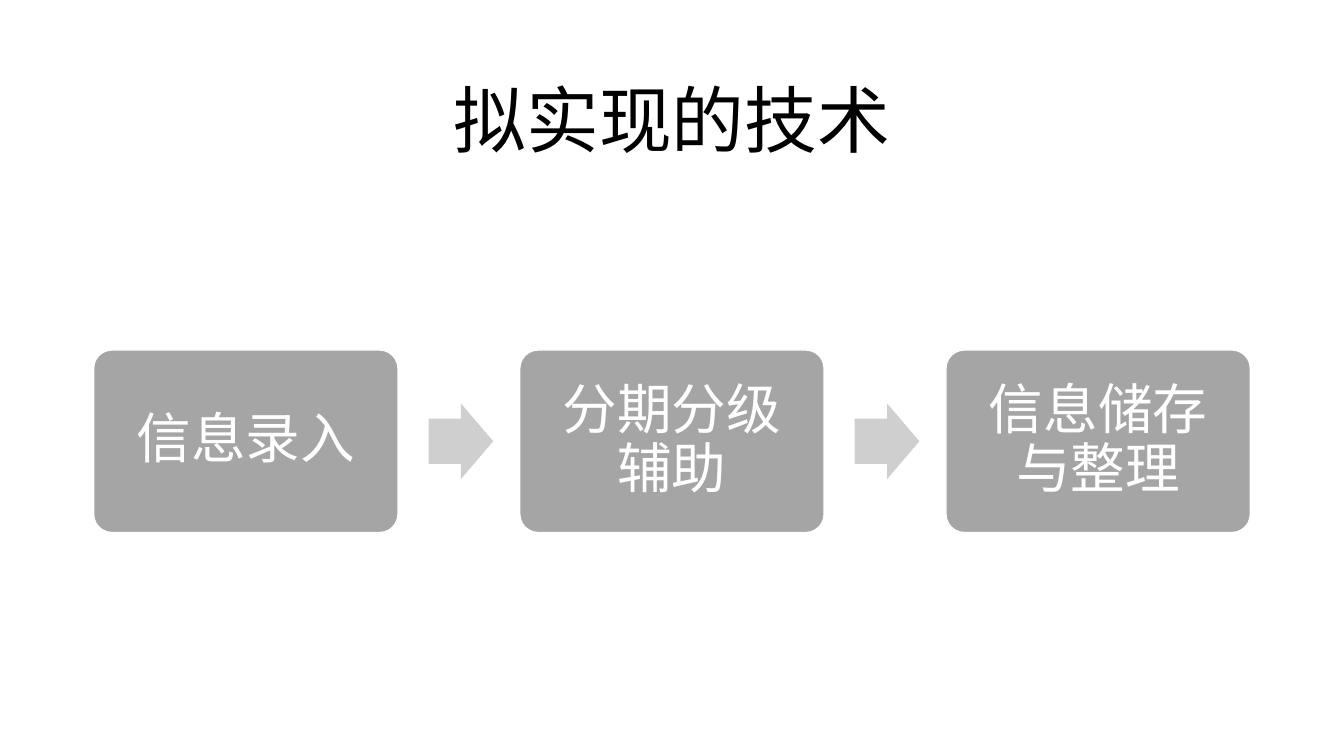
from lxml.etree import SubElement
from pptx import Presentation
from pptx.dml.color import RGBColor
from pptx.enum.shapes import MSO_SHAPE as Shape
from pptx.enum.text import MSO_ANCHOR as Anchor, PP_ALIGN as Align
from pptx.oxml.ns import qn
from pptx.util import Cm, Pt

BLACK = RGBColor(0x00, 0x00, 0x00)
WHITE = RGBColor(0xFF, 0xFF, 0xFF)
STEP_GRAY = RGBColor(0xA5, 0xA5, 0xA5)
ARROW_GRAY = RGBColor(0xCF, 0xCF, 0xCF)
FONT = "Noto Sans CJK SC"
STEPS = ["信息录入", "分期分级辅助", "信息储存与整理"]


def write_text(frame, text, size, color, inset):
    frame.word_wrap = True
    frame.vertical_anchor = Anchor.MIDDLE
    frame.margin_left = frame.margin_right = inset
    frame.margin_top = frame.margin_bottom = inset
    paragraph = frame.paragraphs[0]
    paragraph.alignment = Align.CENTER
    paragraph.line_spacing = 0.9
    run = paragraph.add_run()
    run.text = text
    run.font.size = Pt(size)
    run.font.color.rgb = color
    run.font.name = FONT
    SubElement(run._r.get_or_add_rPr(), qn("a:ea"), typeface=FONT)


def place_title(slide, text, left, top, width, height):
    title = slide.shapes.title
    title.left, title.top, title.width, title.height = left, top, width, height
    write_text(title.text_frame, text, size=52, color=BLACK, inset=Cm(0.25))


def add_block(shapes, kind, adjustments, fill, left, top, width, height):
    block = shapes.add_shape(kind, left, top, width, height)
    for index, value in enumerate(adjustments):
        block.adjustments[index] = value
    block.shadow.inherit = False
    block.fill.solid()
    block.fill.fore_color.rgb = fill
    block.line.fill.background()
    return block


def add_process(slide, steps, left, top, width, height):
    step_width = Cm(7.67)
    arrow_width, arrow_height = Cm(1.63), Cm(1.91)
    arrow_gap = Cm(0.77)
    pitch = (width - step_width) // (len(steps) - 1)
    process = slide.shapes.add_group_shape().shapes
    for index, text in enumerate(steps):
        step_left = left + index * pitch
        if index:
            arrow_left = step_left - pitch + step_width + arrow_gap
            add_block(process, Shape.RIGHT_ARROW, [0.6, 0.5], ARROW_GRAY,
                      arrow_left, top + (height - arrow_height) // 2,
                      arrow_width, arrow_height)
        step = add_block(process, Shape.ROUNDED_RECTANGLE, [0.1], STEP_GRAY,
                         step_left, top, step_width, height)
        step.line.color.rgb = WHITE
        step.line.width = Pt(1)
        write_text(step.text_frame, text, size=39, color=WHITE, inset=Cm(0.41))


def main():
    presentation = Presentation()
    presentation.slide_width = Cm(33.87)
    presentation.slide_height = Cm(19.05)
    slide = presentation.slides.add_slide(presentation.slide_layouts[5])
    place_title(slide, "拟实现的技术", Cm(2.33), Cm(1.55), Cm(29.21), Cm(3.15))
    add_process(slide, STEPS, Cm(2.36), Cm(8.82), Cm(29.15), Cm(4.6))
    presentation.save("out.pptx")


if __name__ == "__main__":
    main()
